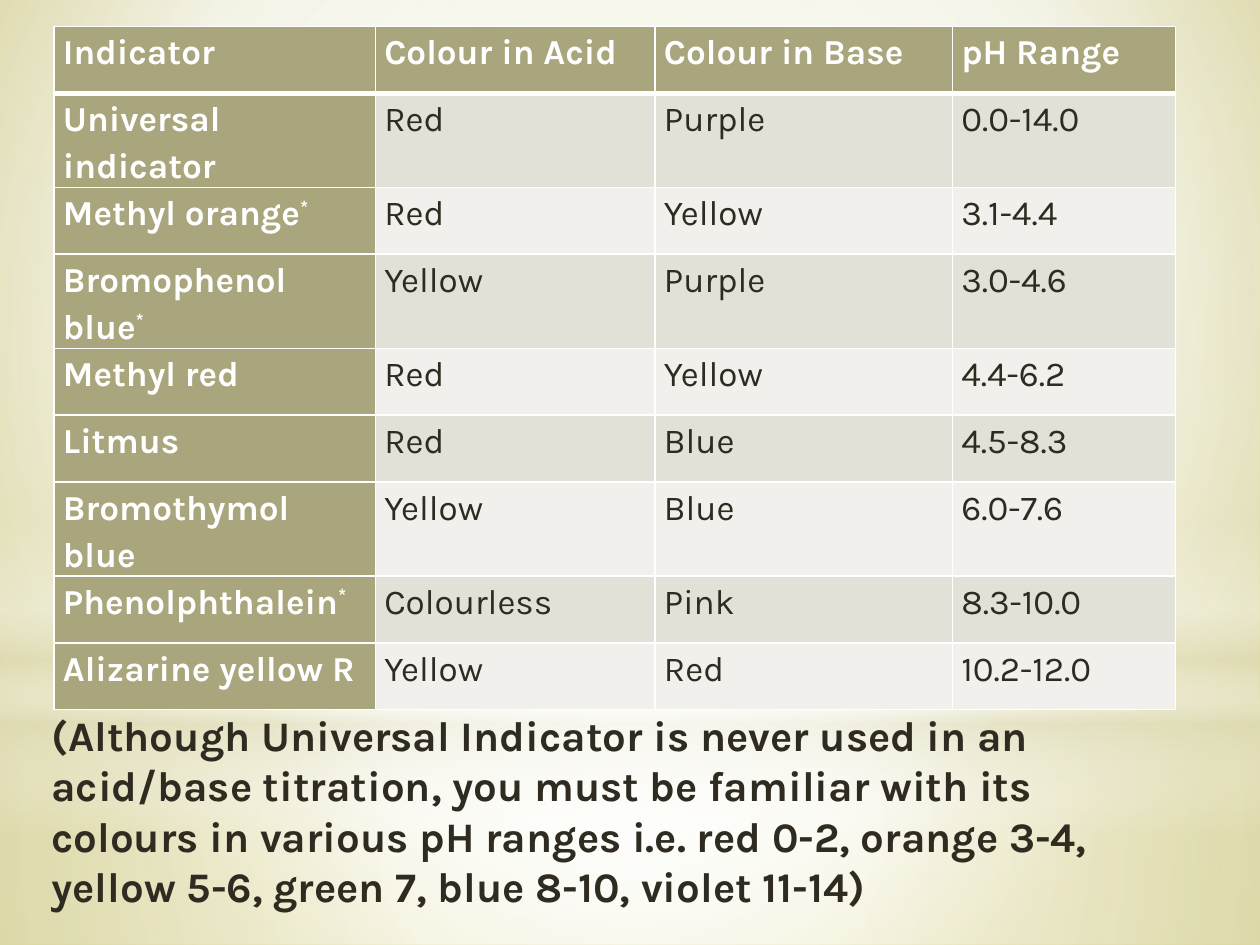
"""Build a slide tabulating acid-base indicators with their colours and pH ranges."""
from lxml.etree import SubElement
from pptx import Presentation
from pptx.dml.color import RGBColor
from pptx.enum.shapes import MSO_SHAPE
from pptx.oxml import parse_xml
from pptx.oxml.ns import nsdecls, qn
from pptx.util import Inches, Pt

FONT = "Karla"
WHITE, DARK, OLIVE = "FFFFFF", "2F2B20", "A9A57C"
BANDS = ["E2E1D7", "F1F0EC"]
CENTRE = (50, 50, 50, 50)

HEADER = ["Indicator", "Colour in Acid", "Colour in Base", "pH Range"]
INDICATORS = [
    ("Universal indicator", "Red", "Purple", "0.0-14.0"),
    ("Methyl orange*", "Red", "Yellow", "3.1-4.4"),
    ("Bromophenol blue*", "Yellow", "Purple", "3.0-4.6"),
    ("Methyl red", "Red", "Yellow", "4.4-6.2"),
    ("Litmus", "Red", "Blue", "4.5-8.3"),
    ("Bromothymol blue", "Yellow", "Blue", "6.0-7.6"),
    ("Phenolphthalein*", "Colourless", "Pink", "8.3-10.0"),
    ("Alizarine yellow R", "Yellow", "Red", "10.2-12.0"),
]
COLUMN_WIDTHS = [2.55, 2.22, 2.36, 1.77]
ROW_HEIGHT = 0.53
NOTE = (
    "(Although Universal Indicator is never used in an acid/base titration, "
    "you must be familiar with its colours in various pH ranges i.e. red 0-2, "
    "orange 3-4, yellow 5-6, green 7, blue 8-10, violet 11-14)"
)

BACKGROUND = [(0, "E1DCA5", 100), (60, WHITE, 100), (100, "D5CD73", 100)]
GLOWS = [
    (MSO_SHAPE.RECTANGLE, (0, 5.58, 10, 1.92), CENTRE,
     [(0, WHITE, 91), (37, WHITE, 76), (100, "DFDCB7", 79)]),
    (MSO_SHAPE.RECTANGLE, (0, 0, 10, 5.58), CENTRE,
     [(0, WHITE, 89), (48, WHITE, 62), (100, "DFDCB7", 79)]),
    (MSO_SHAPE.RECTANGLE, (0, 4.12, 10, 2.5), None,
     [(0, WHITE, 0), (29, WHITE, 30), (45, "DFDCB7", 40),
      (55, WHITE, 26), (65, "DFDCB7", 60), (100, WHITE, 0)]),
    (MSO_SHAPE.OVAL, (0, 1.75, 10, 5.58), CENTRE,
     [(0, WHITE, 100), (56, WHITE, 0)]),
]


def color(value):
    return RGBColor.from_string(value)


def set_gradient(fill, element, stops, focus):
    fill.background()
    stop_xml = "".join(
        f'<a:gs pos="{position * 1000}"><a:srgbClr val="{value}">'
        f'<a:alpha val="{opacity * 1000}"/></a:srgbClr></a:gs>'
        for position, value, opacity in stops
    )
    if focus:
        sides = " ".join(f'{side}="{share * 1000}"' for side, share in zip("ltrb", focus))
        direction = f'<a:path path="circle"><a:fillToRect {sides}/></a:path>'
    else:
        direction = '<a:lin ang="5400000" scaled="0"/>'
    gradient = parse_xml(
        f'<a:gradFill {nsdecls("a")} rotWithShape="1">'
        f"<a:gsLst>{stop_xml}</a:gsLst>{direction}</a:gradFill>"
    )
    empty = next(element.iter(qn("a:noFill")))
    empty.getparent().replace(empty, gradient)


def add_glow(page, kind, place, focus, stops):
    glow = page.shapes.add_shape(kind, *map(Inches, place))
    glow.shadow.inherit = False
    set_gradient(glow.fill, glow.element, stops, focus)
    glow.line.fill.background()


def style_font(font, size, value, bold):
    font.name, font.size, font.bold = FONT, Pt(size), bold
    font.color.rgb = color(value)


def set_borders(cell, widths):
    properties = cell._tc.get_or_add_tcPr()
    for index, (side, width) in enumerate(zip("LRTB", widths)):
        line = parse_xml(
            f'<a:ln{side} {nsdecls("a")} w="{Pt(width)}"><a:solidFill>'
            f'<a:srgbClr val="{WHITE}"/></a:solidFill></a:ln{side}>'
        )
        properties.insert(index, line)


def fill_cell(cell, text, row, column):
    heading = row == 0 or column == 0
    cell.margin_left = cell.margin_right = Inches(0.07)
    cell.margin_top = cell.margin_bottom = 0
    cell.fill.solid()
    cell.fill.fore_color.rgb = color(OLIVE if heading else BANDS[(row - 1) % 2])
    set_borders(cell, (1, 1, 3 if row == 1 else 1, 3 if row == 0 else 1))
    para = cell.text_frame.paragraphs[0]
    para.line_spacing = 1.15
    name, star, _ = text.partition("*")
    para.add_run().text = name
    if star:
        span = para.add_run()
        span.text = star
        span._r.get_or_add_rPr().set("baseline", "30000")
    for span in para.runs:
        style_font(span.font, 20, WHITE if heading else DARK, heading)


def add_indicator_table(page):
    rows = [HEADER, *INDICATORS]
    table = page.shapes.add_table(
        len(rows), len(HEADER), Inches(0.43), Inches(0.21),
        Inches(sum(COLUMN_WIDTHS)), Inches(ROW_HEIGHT * len(rows)),
    ).table
    table.horz_banding = False
    for column, width in zip(table.columns, COLUMN_WIDTHS):
        column.width = Inches(width)
    for row, texts in enumerate(rows):
        table.rows[row].height = Inches(ROW_HEIGHT)
        for column, text in enumerate(texts):
            fill_cell(table.cell(row, column), text, row, column)


def add_note(page):
    box = page.shapes.add_textbox(*map(Inches, (0.31, 5.58, 9.13, 1.72)))
    box.text_frame.word_wrap = True
    para = box.text_frame.paragraphs[0]
    para.text = NOTE
    style_font(para.font, 24, DARK, True)


def main():
    deck = Presentation()
    deck.slide_width, deck.slide_height = Inches(10), Inches(7.5)
    page = deck.slides.add_slide(deck.slide_layouts[6])
    set_gradient(page.background.fill, page.element, BACKGROUND, (20, 10, 20, 60))
    for kind, place, focus, stops in GLOWS:
        add_glow(page, kind, place, focus, stops)
    add_indicator_table(page)
    add_note(page)
    deck.save("out.pptx")


if __name__ == "__main__":
    main()
